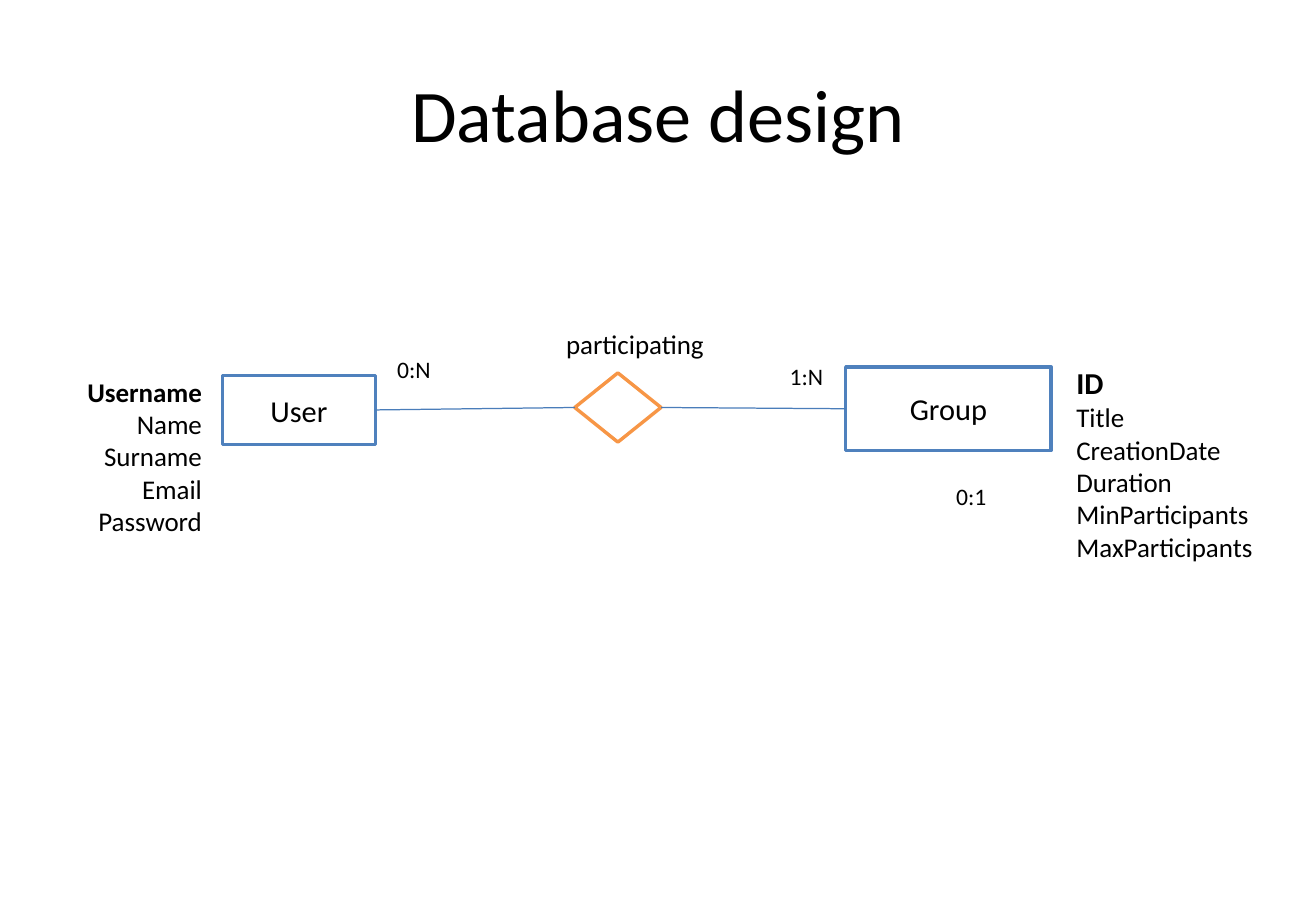
from lxml import etree
from pptx import Presentation
from pptx import util as u
from pptx.dml.color import RGBColor
from pptx.enum import shapes, text
from pptx.oxml.ns import qn

THEME = {
    "font": "Calibri",
    "text": RGBColor(0x00, 0x00, 0x00),
    "fill": RGBColor(0xFF, 0xFF, 0xFF),
    "entity": RGBColor(0x4F, 0x81, 0xBD),
    "relation": RGBColor(0xF7, 0x96, 0x46),
    "link": RGBColor(0x4A, 0x7D, 0xBA),
    "title_size": 44,
    "entity_size": 18,
    "attribute_size": 16,
    "cardinality_size": 14,
    "outline": 2,
    "link_width": 0.75,
}
LEFT, CENTER, RIGHT = text.PP_ALIGN.LEFT, text.PP_ALIGN.CENTER, text.PP_ALIGN.RIGHT
TOP, MIDDLE = text.MSO_ANCHOR.TOP, text.MSO_ANCHOR.MIDDLE


def write(shape, lines, align, anchor=TOP, inset=(0.1, 0.05)):
    """Fill a shape with (wording, size, bold) lines."""
    frame = shape.text_frame
    across, down = (u.Inches(value) for value in inset)
    frame_format = {
        "word_wrap": True, "vertical_anchor": anchor,
        "margin_left": across, "margin_right": across,
        "margin_top": down, "margin_bottom": down,
    }
    for name, value in frame_format.items():
        setattr(frame, name, value)
    for index, (wording, size, bold) in enumerate(lines):
        paragraph = frame.add_paragraph() if index else frame.paragraphs[0]
        paragraph.alignment = align
        run = paragraph.add_run()
        run.text = wording
        run_format = {"name": THEME["font"], "size": u.Pt(size), "bold": bold}
        for name, value in run_format.items():
            setattr(run.font, name, value)
        run.font.color.rgb = THEME["text"]


def add_outlined(kind, box, color):
    """Add a white shape with a coloured outline."""
    shape = slide.shapes.add_shape(kind, *map(u.Inches, box))
    shape.shadow.inherit = False
    shape.fill.solid()
    shape.fill.fore_color.rgb = THEME["fill"]
    shape.line.color.rgb = color
    shape.line.width = u.Pt(THEME["outline"])
    return shape


presentation = Presentation()
presentation.slide_width = u.Inches(10.83)
presentation.slide_height = u.Inches(7.5)
slide = presentation.slides.add_slide(presentation.slide_layouts[6])

# Title
title = slide.shapes.add_textbox(*map(u.Inches, (0.54, 0.3, 9.75, 1.25)))
write(title, [("Database design", THEME["title_size"], False)], CENTER, MIDDLE, (0, 0))

# Entities
entities = {}
for name, box in {"User": (1.83, 3.09, 1.26, 0.57), "Group": (6.96, 3.02, 1.69, 0.69)}.items():
    entities[name] = add_outlined(shapes.MSO_SHAPE.RECTANGLE, box, THEME["entity"])
    write(entities[name], [(name, THEME["entity_size"], False)], CENTER, MIDDLE)

# Relation
participating = add_outlined(shapes.MSO_SHAPE.DIAMOND, (4.73, 3.07, 0.71, 0.57), THEME["relation"])

# Links from the right side of one shape to the left side of the next
for start, end in [(entities["User"], participating), (participating, entities["Group"])]:
    link = slide.shapes.add_connector(shapes.MSO_CONNECTOR.STRAIGHT, 0, 0, 0, 0)
    link.begin_connect(start, 3)
    link.end_connect(end, 1)
    link.line.color.rgb = THEME["link"]
    link.line.width = u.Pt(THEME["link_width"])
    etree.SubElement(link._element.spPr, qn("a:effectLst"))

# Attribute lists, each led by its bold key
attribute_lists = [
    ((0.17, 3.04, 1.59, 1.9), RIGHT, THEME["attribute_size"],
     ["Username", "Name", "Surname", "Email", "Password"]),
    ((8.76, 2.95, 1.99, 2.49), LEFT, THEME["entity_size"],
     ["ID", "Title", "CreationDate", "Duration", "MinParticipants", "MaxParticipants"]),
]
for box, align, key_size, (key, *attributes) in attribute_lists:
    lines = [(key, key_size, True)]
    lines += [(attribute, THEME["attribute_size"], False) for attribute in attributes]
    write(slide.shapes.add_textbox(*map(u.Inches, box)), lines, align)

# Relation name and cardinalities
labels = [
    ("participating", (4.12, 2.65, 1.77, 0.37), RIGHT, THEME["attribute_size"]),
    ("0:N", (3.17, 2.87, 0.67, 0.34), LEFT, THEME["cardinality_size"]),
    ("1:N", (6.4, 2.93, 0.54, 0.34), LEFT, THEME["cardinality_size"]),
    ("0:1", (7.77, 3.92, 0.49, 0.51), LEFT, THEME["cardinality_size"]),
]
for wording, box, align, size in labels:
    write(slide.shapes.add_textbox(*map(u.Inches, box)), [(wording, size, False)], align)

presentation.save("out.pptx")
